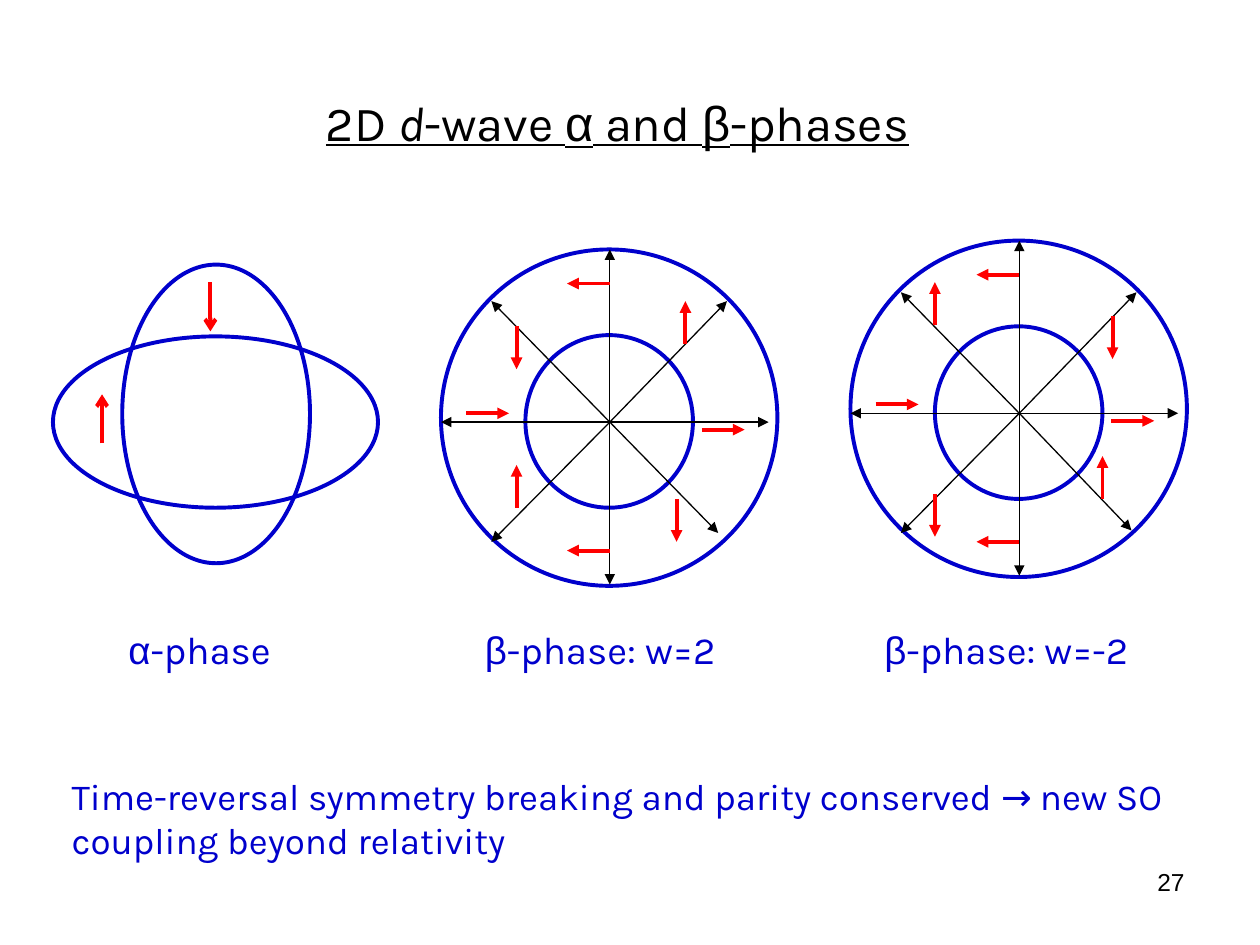
from lxml.etree import SubElement
from pptx import Presentation
from pptx.dml.color import RGBColor
from pptx.enum.shapes import MSO_CONNECTOR, MSO_SHAPE
from pptx.enum.text import MSO_ANCHOR, PP_ALIGN
from pptx.oxml.ns import qn
from pptx.util import Inches, Pt

COLORS = {"blue": "0000CC", "red": "FF0000", "black": "000000"}
TEXT_FONT, SYMBOL_FONT = "Karla", "Arial"

TITLE = ["2D ", "d", "-wave ", "α", " and ", "β", "-phases"]
PHASE_LABELS = [
    (0.92, 1.58, ["α", "-phase"]),
    (3.75, 2.17, ["β", "-phase: w=2"]),
    (6.92, 2.33, ["β", "-phase: w=-2"]),
]
CONCLUSION = ("Time-reversal symmetry breaking and parity conserved → "
              "new SO coupling beyond relativity")
PAGE_NUMBER = "27"

ALPHA_ELLIPSES = [(0.42, 2.67, 2.58, 1.36, 0), (0.53, 2.54, 2.37, 1.49, 270)]
ALPHA_SPINS = [(0.81, 3.52, "up"), (1.67, 2.24, "down")]
ALPHA_SPIN_LENGTH, BETA_SPIN_LENGTH = 0.39, 0.34

DIRECTIONS = {"up": (0, -1), "down": (0, 1), "left": (-1, 0), "right": (1, 0)}
RINGS = [(-0.67, -0.69, 1.33, 1.37), (-1.34, -1.37, 2.67, 2.67)]
SPOKES = [(1.26, 0), (0, -1.37), (0, 1.29), (-1.34, 0),
          (0.93, -0.96), (-0.94, 0.95), (-0.94, -0.96)]
SHARED_SPINS = [(-1.14, -0.07, "right"), (0.73, 0.06, "right"),
                (0, 1.02, "left"), (0, -1.1, "left")]
WHEELS = [
    {"hub": (4.84, 3.35), "last_spoke": (0.86, 0.88),
     "spins": [(0.6, -0.62, "up"), (-0.74, 0.68, "up"),
               (-0.74, -0.76, "down"), (0.53, 0.61, "down")]},
    {"hub": (8.09, 3.28), "last_spoke": (0.89, 0.93),
     "spins": [(-0.67, -0.7, "up"), (0.66, 0.68, "up"),
               (-0.67, 0.64, "down"), (0.74, -0.77, "down")]},
]


def color(name):
    return RGBColor.from_string(COLORS[name])


def add_ellipse(shapes, left, top, width, height, rotation=0):
    ellipse = shapes.add_shape(MSO_SHAPE.OVAL, Inches(left), Inches(top),
                               Inches(width), Inches(height))
    ellipse.rotation = rotation
    ellipse.shadow.inherit = False
    ellipse.fill.background()
    ellipse.line.color.rgb = color("blue")
    ellipse.line.width = Pt(2.25)


def add_arrow(shapes, start, end, color_name, width, head="triangle"):
    arrow = shapes.add_connector(MSO_CONNECTOR.STRAIGHT,
                                 *(Inches(value) for value in (*start, *end)))
    arrow.line.color.rgb = color(color_name)
    arrow.line.width = Pt(width)
    SubElement(arrow.line._get_or_add_ln(), qn("a:tailEnd"), type=head)
    SubElement(arrow._element.spPr, qn("a:effectLst"))


def add_spin(shapes, x, y, direction, length, head="triangle"):
    step_x, step_y = DIRECTIONS[direction]
    end = (x + step_x * length, y + step_y * length)
    add_arrow(shapes, (x, y), end, "red", 2.25, head)


def add_text(slide, box, pieces, size, color_name, font=TEXT_FONT,
             alignment=PP_ALIGN.LEFT, anchor=MSO_ANCHOR.TOP):
    frame = slide.shapes.add_textbox(*(Inches(value) for value in box)).text_frame
    frame.word_wrap = True
    frame.vertical_anchor = anchor
    paragraph = frame.paragraphs[0]
    paragraph.alignment = alignment
    for piece in pieces:
        run = paragraph.add_run()
        run.text = piece
        run.font.name = SYMBOL_FONT if piece in ("α", "β") else font
        run.font.size = Pt(size)
        run.font.color.rgb = color(color_name)
    return paragraph


def add_alpha_phase(slide):
    shapes = slide.shapes.add_group_shape().shapes
    for ellipse in ALPHA_ELLIPSES:
        add_ellipse(shapes, *ellipse)
    for spin in ALPHA_SPINS:
        add_spin(shapes, *spin, ALPHA_SPIN_LENGTH, "arrow")


def add_beta_phase(slide, wheel):
    shapes = slide.shapes.add_group_shape().shapes
    hub_x, hub_y = wheel["hub"]
    for left, top, width, height in RINGS:
        add_ellipse(shapes, hub_x + left, hub_y + top, width, height)
    for x, y in SPOKES + [wheel["last_spoke"]]:
        add_arrow(shapes, wheel["hub"], (hub_x + x, hub_y + y), "black", 0.75)
    for x, y, direction in SHARED_SPINS + wheel["spins"]:
        add_spin(shapes, hub_x + x, hub_y + y, direction, BETA_SPIN_LENGTH)


def main():
    presentation = Presentation()
    presentation.slide_width = Inches(10)
    presentation.slide_height = Inches(7.5)
    slide = presentation.slides.add_slide(presentation.slide_layouts[6])

    add_text(slide, (7.17, 6.83, 2.33, 0.52), [PAGE_NUMBER], 14, "black",
             SYMBOL_FONT, PP_ALIGN.RIGHT)
    add_alpha_phase(slide)
    title = add_text(slide, (0.9, 0.72, 8, 0.5), TITLE, 28, "black",
                     alignment=PP_ALIGN.CENTER, anchor=MSO_ANCHOR.MIDDLE)
    for run in title.runs:
        run.font.underline = True
        run.font.italic = run.text == "d"
    for wheel in WHEELS:
        add_beta_phase(slide, wheel)
    for left, width, pieces in PHASE_LABELS:
        add_text(slide, (left, 4.92, width, 0.47), pieces, 22, "blue")
    add_text(slide, (0.47, 6.09, 9.13, 0.81), [CONCLUSION], 21, "blue")

    presentation.save("out.pptx")


if __name__ == "__main__":
    main()
